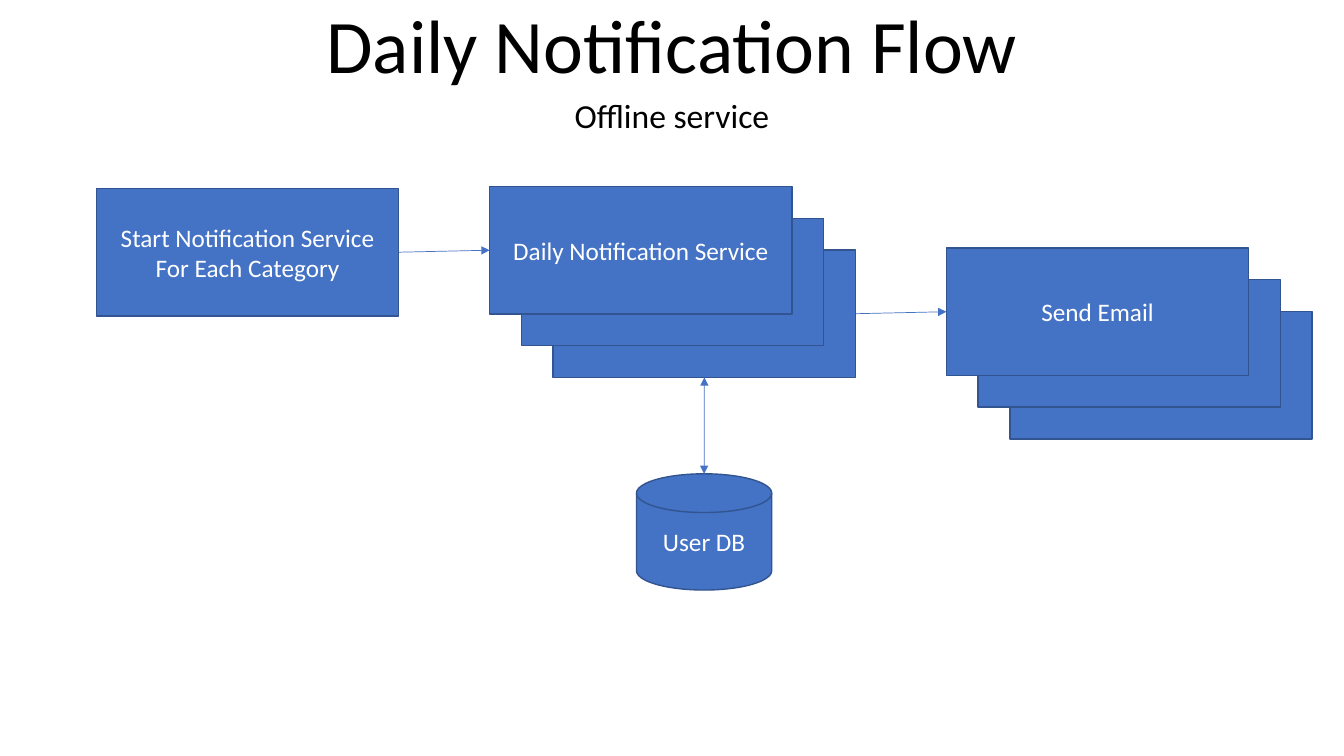
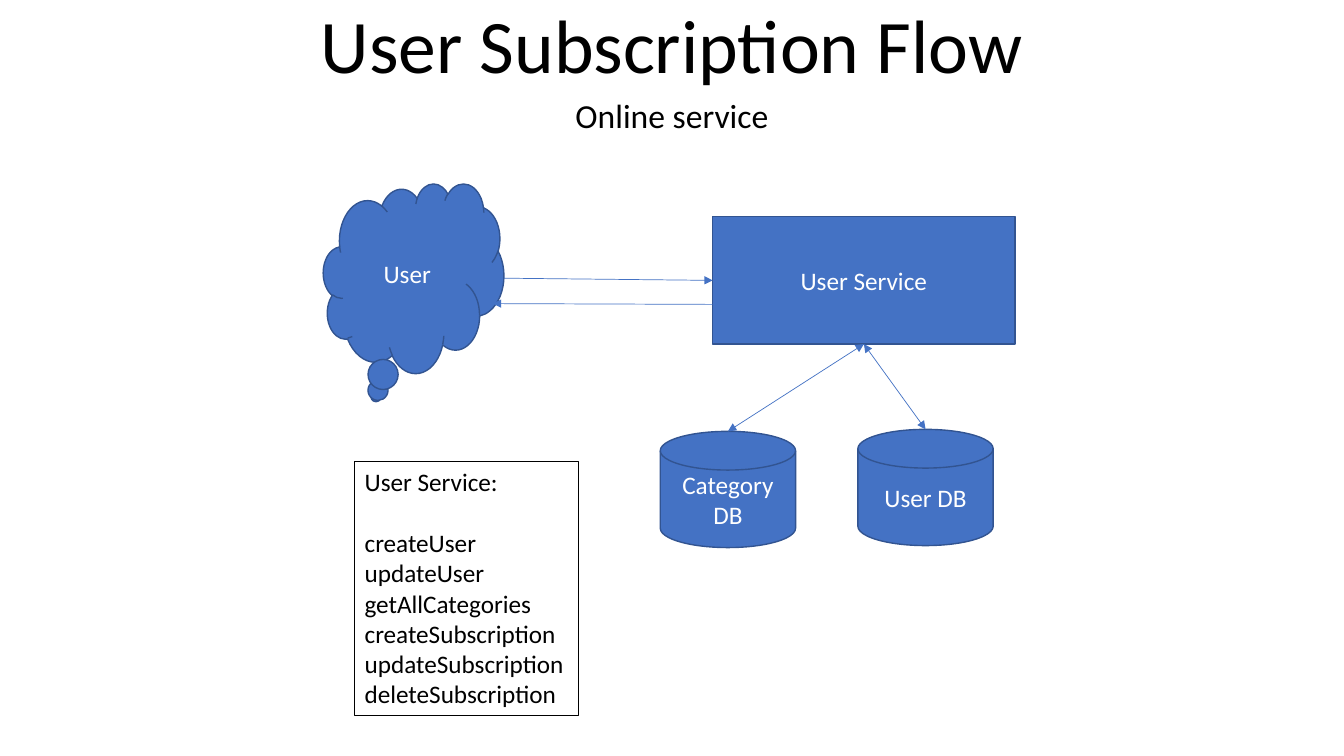
import lxml.etree
import pptx
import pptx.dml.color
import pptx.enum.shapes
import pptx.enum.text
import pptx.oxml.ns
import pptx.util

Cm, Pt = pptx.util.Cm, pptx.util.Pt
KIND = pptx.enum.shapes.MSO_SHAPE
ALIGN = pptx.enum.text.PP_ALIGN
ANCHOR = pptx.enum.text.MSO_ANCHOR

COLORS = {"fill": "4472C4", "outline": "325491", "ink": "000000", "light": "FFFFFF"}
FONT = "Calibri"
SLIDE_W, SLIDE_H = 33.87, 19.05
STACK_STEP = 0.8

# Kind: preset shape, width, height (cm)
NODE_KINDS = {
    "service": (KIND.RECTANGLE, 7.62, 3.21),
    "database": (KIND.FLOWCHART_MAGNETIC_DISK, 3.41, 2.93),
    "client": (KIND.CLOUD_CALLOUT, 4.55, 4.78),
}
# Connection site numbers for the sides that arrows are glued to
SITES = {
    "service": {"top": 0, "left": 1, "bottom": 2, "right": 3},
    "database": {"top": 1},
    "client": {},
}

# Nodes: label, kind, left, top (cm), copies in the stack
# Links: from label, side, to label, side, both ways
FLOWS = [
    {
        "title": "Daily Notification Flow",
        "subtitle": "Offline service",
        "nodes": [
            ("Start Notification Service For Each Category", "service", 2.43, 4.75, 1),
            ("Daily Notification Service", "service", 12.34, 4.7, 3),
            ("Send Email", "service", 23.85, 6.25, 3),
            ("User DB", "database", 16.04, 11.94, 1),
        ],
        "links": [
            ("Start Notification Service For Each Category", "right",
             "Daily Notification Service", "left", False),
            ("Daily Notification Service", "right", "Send Email", "left", False),
            ("Daily Notification Service", "bottom", "User DB", "top", True),
        ],
    },
    {
        "title": "User Subscription Flow",
        "subtitle": "Online service",
        "nodes": [
            ("User", "client", 8.15, 4.62, 1),
            ("User Service", "service", 17.96, 5.46, 1),
            ("Category DB", "database", 16.64, 10.87, 1),
            ("User DB", "database", 21.62, 10.82, 1),
        ],
        "links": [
            ("User", "right", "User Service", "left", False),
            ("User Service", "bottom", "Category DB", "top", True),
            ("User Service", "bottom", "User DB", "top", True),
        ],
        "reply": ((17.96, 7.67), (12.42, 7.65)),
        "operations": ("User Service:", [
            "createUser", "updateUser", "getAllCategories",
            "createSubscription", "updateSubscription", "deleteSubscription",
        ]),
    },
]


def rgb(name):
    return pptx.dml.color.RGBColor.from_string(COLORS[name])


def write(shape, lines, size=18, color="ink", align=ALIGN.CENTER,
          anchor=ANCHOR.TOP, spacing=1.0, heading_gap=0):
    """Fill a shape with one paragraph per line; heading_gap follows the first."""
    frame = shape.text_frame
    frame.word_wrap = True
    frame.vertical_anchor = anchor
    for index, line in enumerate(lines):
        paragraph = frame.paragraphs[0] if index == 0 else frame.add_paragraph()
        paragraph.alignment = align
        paragraph.line_spacing = spacing
        if index == 0 and heading_gap:
            paragraph.space_after = Pt(heading_gap)
        run = paragraph.add_run()
        run.text = line
        run.font.name = FONT
        run.font.size = Pt(size)
        run.font.color.rgb = rgb(color)


def add_text(slide, lines, left, top, width, height, **text_format):
    box = slide.shapes.add_textbox(Cm(left), Cm(top), Cm(width), Cm(height))
    write(box, lines, **text_format)
    return box


def add_header(slide, title, subtitle):
    add_text(slide, [title], 4.23, 0, 25.4, 2.39, size=54, spacing=0.9,
             anchor=ANCHOR.BOTTOM)
    add_text(slide, [subtitle], 0, 2.39, SLIDE_W, 1.4, size=24, spacing=0.9)


def add_node(slide, label, kind, left, top, copies):
    """Draw a stack from back to front; return its front and back shapes."""
    preset, width, height = NODE_KINDS[kind]
    stack = []
    for depth in reversed(range(copies)):
        shift = depth * STACK_STEP
        shape = slide.shapes.add_shape(
            preset, Cm(left + shift), Cm(top + shift), Cm(width), Cm(height))
        shape.shadow.inherit = False
        shape.fill.solid()
        shape.fill.fore_color.rgb = rgb("fill")
        shape.line.color.rgb = rgb("outline")
        shape.line.width = Pt(1)
        stack.append(shape)
    write(stack[-1], [label], color="light", anchor=ANCHOR.MIDDLE)
    return {"kind": kind, "front": stack[-1], "back": stack[0]}


def side_point(shape, side):
    across, down = {"top": (0.5, 0), "left": (0, 0.5),
                    "bottom": (0.5, 1), "right": (1, 0.5)}[side]
    return (int(shape.left + across * shape.width),
            int(shape.top + down * shape.height))


def add_child(parent, tag, **attributes):
    lxml.etree.SubElement(parent, pptx.oxml.ns.qn(tag), **attributes)


def add_arrow(slide, start, end, both_ways=False):
    arrow = slide.shapes.add_connector(
        pptx.enum.shapes.MSO_CONNECTOR.STRAIGHT, *start, *end)
    arrow.line.color.rgb = rgb("fill")
    arrow.line.width = Pt(0.5)
    properties = arrow._element.spPr
    outline = properties.find(pptx.oxml.ns.qn("a:ln"))
    if both_ways:
        add_child(outline, "a:headEnd", type="triangle")
    add_child(outline, "a:tailEnd", type="triangle")
    add_child(properties, "a:effectLst")
    return arrow


def link(slide, source, source_side, target, target_side, both_ways):
    """Join two nodes: arrows leave the back of a stack and reach the front."""
    start = side_point(source["back"], source_side)
    end = side_point(target["front"], target_side)
    arrow = add_arrow(slide, start, end, both_ways)
    source_site = SITES[source["kind"]].get(source_side)
    target_site = SITES[target["kind"]].get(target_side)
    if source_site is not None:
        arrow.begin_connect(source["back"], source_site)
        arrow.begin_x, arrow.begin_y = start
    if target_site is not None:
        arrow.end_connect(target["front"], target_site)
        arrow.end_x, arrow.end_y = end


def add_operations(slide, heading, operations):
    box = add_text(slide, [heading] + operations, 8.94, 11.63, 5.64, 6.4,
                   align=ALIGN.LEFT, heading_gap=22)
    box.line.color.rgb = rgb("ink")
    box.line.width = Pt(0.75)


def build_slide(deck, flow):
    slide = deck.slides.add_slide(deck.slide_layouts[6])
    add_header(slide, flow["title"], flow["subtitle"])
    nodes = {node[0]: add_node(slide, *node) for node in flow["nodes"]}
    for source, source_side, target, target_side, both_ways in flow["links"]:
        link(slide, nodes[source], source_side, nodes[target], target_side, both_ways)
    if "reply" in flow:
        start, end = flow["reply"]
        add_arrow(slide, [Cm(v) for v in start], [Cm(v) for v in end])
    if "operations" in flow:
        add_operations(slide, *flow["operations"])


def main():
    deck = pptx.Presentation()
    deck.slide_width, deck.slide_height = Cm(SLIDE_W), Cm(SLIDE_H)
    for flow in FLOWS:
        build_slide(deck, flow)
    deck.save("out.pptx")


if __name__ == "__main__":
    main()
